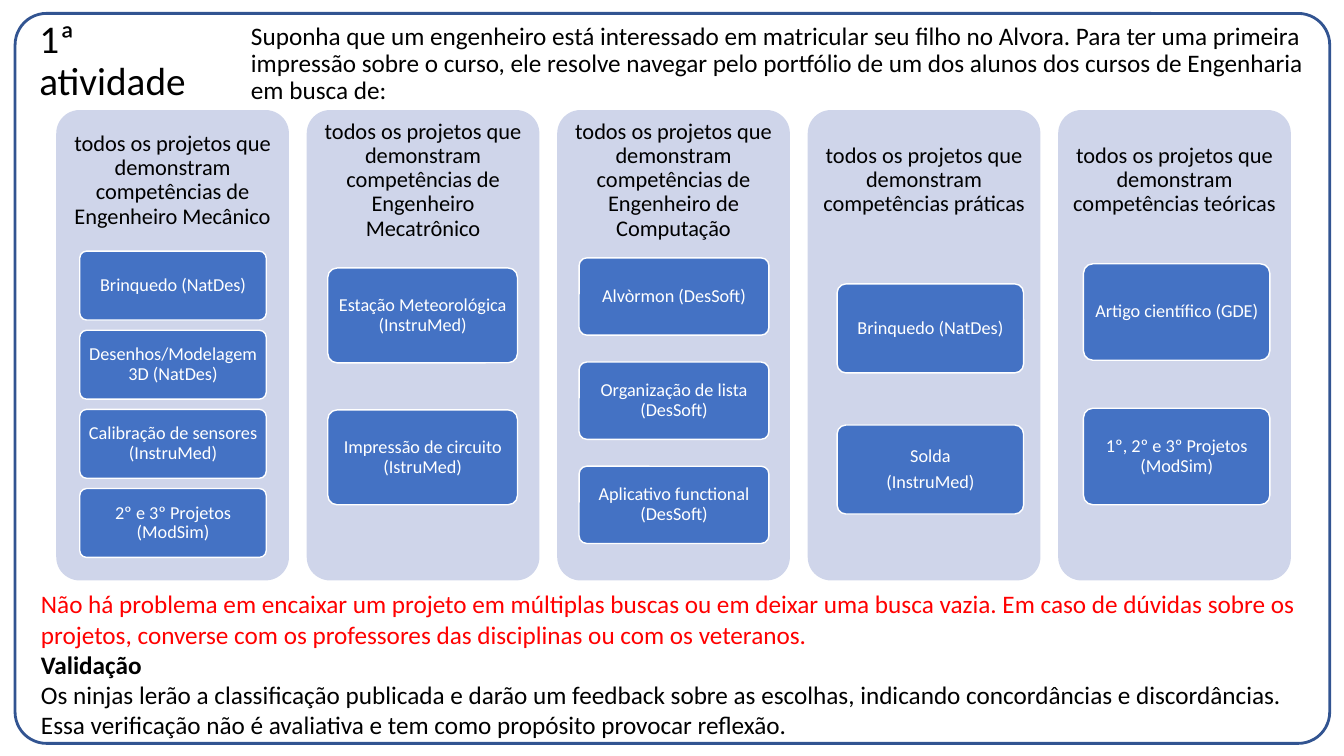
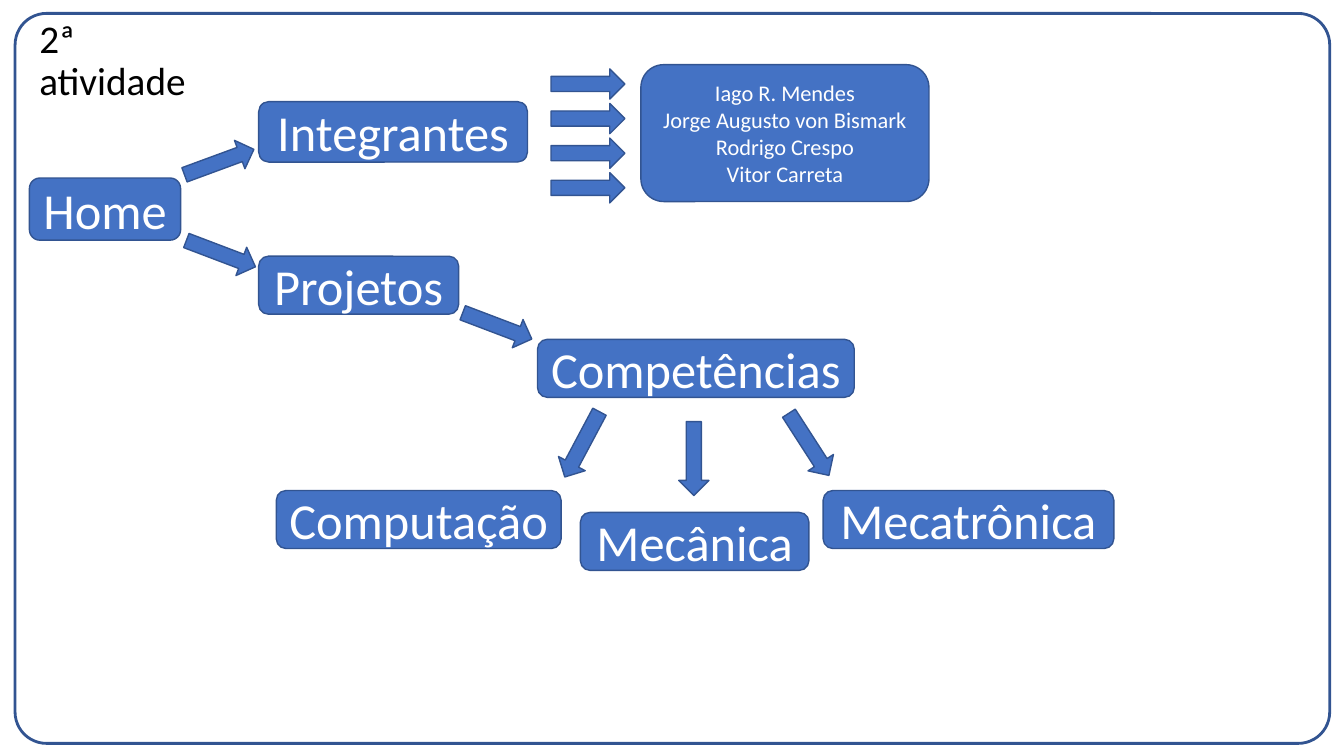
from dataclasses import dataclass

from pptx import Presentation
from pptx.dml.color import RGBColor
from pptx.enum.shapes import MSO_SHAPE
from pptx.enum.text import MSO_ANCHOR, PP_ALIGN
from pptx.util import Inches, Pt

ROUNDED = MSO_SHAPE.ROUNDED_RECTANGLE
ARROW = MSO_SHAPE.RIGHT_ARROW
LEFT, CENTER = PP_ALIGN.LEFT, PP_ALIGN.CENTER
TOP, MIDDLE = MSO_ANCHOR.TOP, MSO_ANCHOR.MIDDLE

SLIDE_WIDTH, SLIDE_HEIGHT = Inches(13.33), Inches(7.5)
GRID_COLUMNS, GRID_ROWS = 160, 90


@dataclass(frozen=True)
class Theme:
    font: str = "Calibri"
    ink: str = "000000"
    paper: str = "FFFFFF"
    accent: str = "4472C4"
    outline: str = "325491"
    panel: str = "CFD5EA"
    warning: str = "FF0000"
    title_size: int = 28
    body_size: int = 18
    heading_size: int = 16
    card_size: int = 13
    node_size: int = 36
    tight: float = 0.9


THEME = Theme()

PANEL_LEFT, PANEL_TOP, PANEL_PITCH = 6.7, 13.1, 29.82
PANEL_WIDTH, PANEL_HEIGHT, HEADING_HEIGHT = 27.7, 56, 16.8
ARROW_LENGTH, ARROW_THICKNESS = 8.8, 3.6

INTRO = (
    "Suponha que um engenheiro está interessado em matricular seu filho no Alvora. "
    "Para ter uma primeira impressão sobre o curso, ele resolve navegar pelo portfólio "
    "de um dos alunos dos cursos de Engenharia em busca de:"
)
HEADING_START = "todos os projetos que demonstram competências "

# fmt: off
PANELS = [
    ("de Engenheiro Mecânico", (2.8, 22.2, 29.9, 8.2, 9.42), [
        ["Brinquedo (NatDes)"],
        ["Desenhos/Modelagem 3D (NatDes)"],
        ["Calibração de sensores (InstruMed)"],
        ["2º e 3º Projetos (ModSim)"],
    ]),
    ("de Engenheiro Mecatrônico", (2.5, 22.6, 31.9, 11.3, 16.9), [
        ["Estação Meteorológica (InstruMed)"],
        ["Impressão de circuito (IstruMed)"],
    ]),
    ("de Engenheiro de Computação", (2.6, 22.6, 30.7, 9.2, 12.4), [
        ["Alvòrmon (DesSoft)"],
        ["Organização de lista (DesSoft)"],
        ["Aplicativo functional (DesSoft)"],
    ]),
    ("práticas", (3.5, 22.2, 33.8, 10.6, 16.8), [
        ["Brinquedo (NatDes)"],
        ["Solda", "(InstruMed)"],
    ]),
    ("teóricas", (3, 22.2, 31.4, 11.5, 17.2), [
        ["Artigo científico (GDE)"],
        ["1º, 2º e 3º Projetos (ModSim)"],
    ]),
]
# fmt: on

CLOSING = [
    (
        "Não há problema em encaixar um projeto em múltiplas buscas ou em deixar uma busca "
        "vazia. Em caso de dúvidas sobre os projetos, converse com os professores das "
        "disciplinas ou com os veteranos.",
        THEME.warning,
        False,
    ),
    ("Validação", THEME.ink, True),
    (
        "Os ninjas lerão a classificação publicada e darão um feedback sobre as escolhas, "
        "indicando concordâncias e discordâncias. Essa verificação não é avaliativa e tem "
        "como propósito provocar reflexão.",
        THEME.ink,
        False,
    ),
]

NODES = [
    ("Home", (3.5, 21.2, 18, 7.4)),
    ("Integrantes", (30.8, 12.1, 32, 7.2)),
    ("Projetos", (30.8, 30.5, 23.8, 6.9)),
    ("Competências", (64, 40.4, 37.7, 6.9)),
    ("Computação", (32.9, 58.4, 33.9, 6.9)),
    ("Mecânica", (69.1, 61, 27.2, 6.9)),
    ("Mecatrônica", (98, 58.4, 34.6, 6.9)),
]
MEMBERS = ["Iago R. Mendes", "Jorge Augusto von Bismark", "Rodrigo Crespo", "Vitor Carreta"]
MEMBERS_BOX = (76.3, 7.7, 34.3, 16.3)
MEMBER_ARROW_X, MEMBER_ARROW_Y, MEMBER_ARROW_PITCH = 70, 10, 4.12
BRANCH_ARROWS = [
    (26.1, 19.3, -20.2),
    (26.3, 30.2, 20.8),
    (59.2, 38.8, 20.8),
    (69.3, 52.9, 118),
    (82.6, 54.6, 90),
    (96.3, 52.9, 57.2),
]


def place(box):
    left, top, width, height = box
    column, row = SLIDE_WIDTH / GRID_COLUMNS, SLIDE_HEIGHT / GRID_ROWS
    return int(left * column), int(top * row), int(width * column), int(height * row)


def color(value):
    return RGBColor.from_string(value)


def write(shape, lines, size, align=LEFT, anchor=TOP, spacing=1.0, after=0, inset=None, wrap=True):
    frame = shape.text_frame
    frame.word_wrap = wrap
    frame.vertical_anchor = anchor
    if inset is not None:
        frame.margin_left = frame.margin_right = Inches(inset)
        frame.margin_top = frame.margin_bottom = Inches(inset)
    for index, (text, ink, bold) in enumerate(lines):
        paragraph = frame.paragraphs[0] if index == 0 else frame.add_paragraph()
        paragraph.alignment = align
        paragraph.line_spacing = spacing
        paragraph.space_after = Pt(after)
        run = paragraph.add_run()
        run.text = text
        run.font.name = THEME.font
        run.font.size = Pt(size)
        run.font.bold = bold
        run.font.color.rgb = color(ink)


def plain(texts, ink):
    return [(text, ink, False) for text in texts]


def add_text(slide, box, lines, size, **style):
    write(slide.shapes.add_textbox(*place(box)), lines, size, **style)


def add_block(slide, kind, box, fill=None, line=None, line_width=1, corner=None):
    shape = slide.shapes.add_shape(kind, *place(box))
    shape.shadow.inherit = False
    if fill:
        shape.fill.solid()
        shape.fill.fore_color.rgb = color(fill)
    else:
        shape.fill.background()
    if line:
        shape.line.color.rgb = color(line)
        shape.line.width = Pt(line_width)
    else:
        shape.line.fill.background()
    if corner is not None:
        shape.adjustments[0] = corner
    return shape


def add_framed_slide(presentation, title):
    slide = presentation.slides.add_slide(presentation.slide_layouts[6])
    add_block(slide, ROUNDED, (1.8, 1.6, 156.5, 86.9), None, THEME.outline, 2, 0.043)
    add_text(slide, (3.5, 1.4, 25, 12), plain([title], THEME.ink), THEME.title_size,
             anchor=MIDDLE, spacing=THEME.tight, wrap=False)
    return slide


def add_card(slide, box, texts):
    shape = add_block(slide, ROUNDED, box, THEME.accent, THEME.paper, corner=0.1)
    write(shape, plain(texts, THEME.paper), THEME.card_size, CENTER, MIDDLE,
          THEME.tight, after=4.5, inset=0.04)


def add_panel(slide, left, heading, layout, cards):
    add_block(slide, ROUNDED, (left, PANEL_TOP, PANEL_WIDTH, PANEL_HEIGHT), THEME.panel, corner=0.1)
    add_text(slide, (left, PANEL_TOP, PANEL_WIDTH, HEADING_HEIGHT),
             plain([HEADING_START + heading], THEME.ink), THEME.heading_size,
             align=CENTER, anchor=MIDDLE, spacing=THEME.tight, inset=0.07)
    offset, width, top, height, pitch = layout
    for index, texts in enumerate(cards):
        add_card(slide, (left + offset, top + index * pitch, width, height), texts)


def add_node(slide, box, texts, size):
    shape = add_block(slide, ROUNDED, box, THEME.accent, THEME.outline)
    write(shape, plain(texts, THEME.paper), size, CENTER, MIDDLE, wrap=False)


def add_arrow(slide, center_x, center_y, angle=0):
    box = (center_x - ARROW_LENGTH / 2, center_y - ARROW_THICKNESS / 2,
           ARROW_LENGTH, ARROW_THICKNESS)
    add_block(slide, ARROW, box, THEME.accent, THEME.outline).rotation = angle


def build_searches(presentation):
    slide = add_framed_slide(presentation, "1ª atividade")
    add_text(slide, (28.7, 2.2, 129.4, 10.5), plain([INTRO], THEME.ink), THEME.body_size,
             spacing=THEME.tight)
    for index, (heading, layout, cards) in enumerate(PANELS):
        add_panel(slide, PANEL_LEFT + index * PANEL_PITCH, heading, layout, cards)
    add_text(slide, (3.7, 69.5, 154.3, 19.4), CLOSING, THEME.body_size)


def build_site_map(presentation):
    slide = add_framed_slide(presentation, "2ª atividade")
    for text, box in NODES:
        add_node(slide, box, [text], THEME.node_size)
    add_node(slide, MEMBERS_BOX, MEMBERS, THEME.heading_size)
    for center_x, center_y, angle in BRANCH_ARROWS:
        add_arrow(slide, center_x, center_y, angle)
    for index in range(len(MEMBERS)):
        add_arrow(slide, MEMBER_ARROW_X, MEMBER_ARROW_Y + index * MEMBER_ARROW_PITCH)


def main():
    presentation = Presentation()
    presentation.slide_width = SLIDE_WIDTH
    presentation.slide_height = SLIDE_HEIGHT
    build_searches(presentation)
    build_site_map(presentation)
    presentation.save("out.pptx")


if __name__ == "__main__":
    main()
